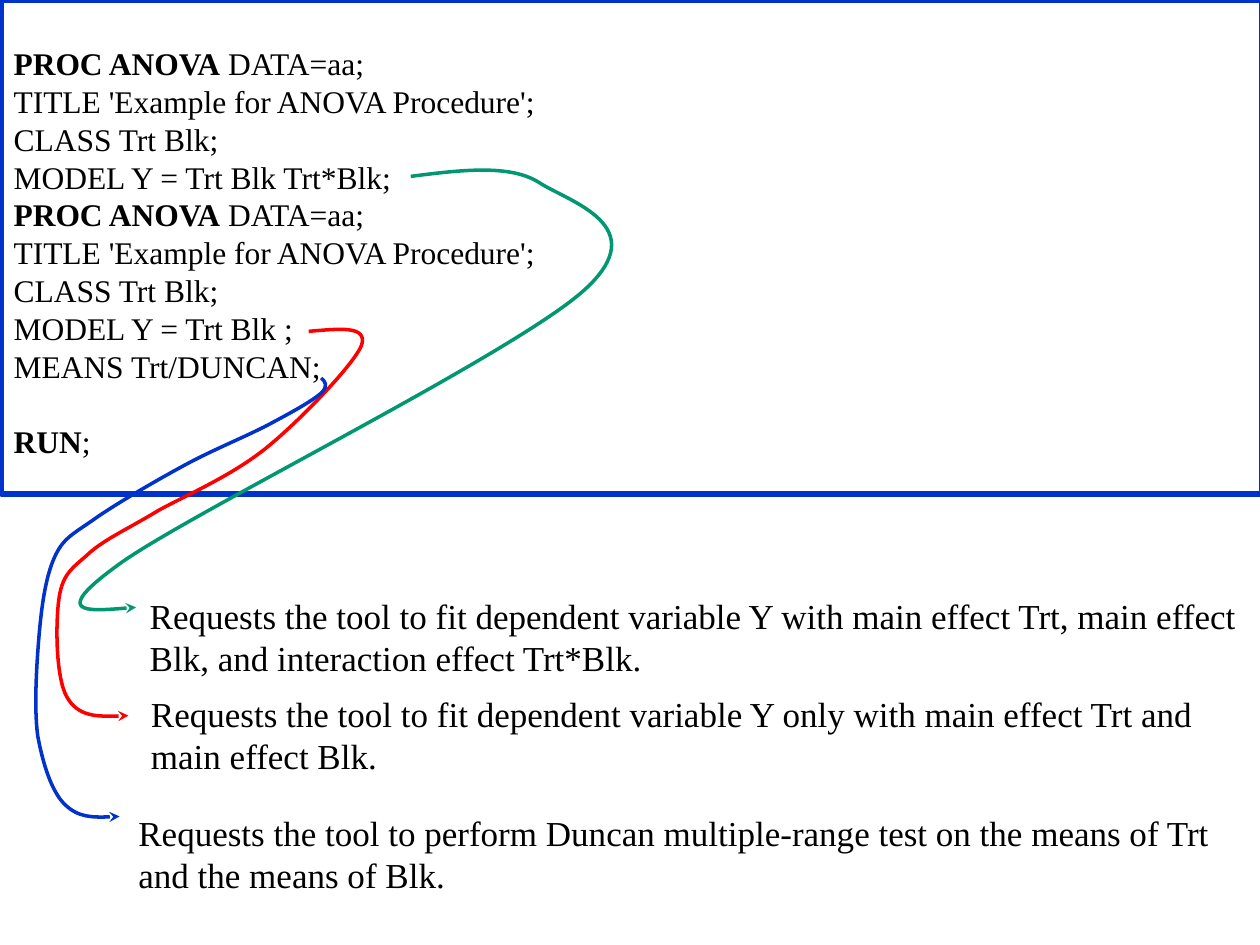
"""Build a slide that explains the statements of an ANOVA program."""
from lxml import etree
from pptx import Presentation
from pptx import util as u
from pptx.dml.color import RGBColor
from pptx.enum import shapes, text
from pptx.oxml.ns import qn

BLUE, GREEN, RED, BLACK, WHITE = "0033CC", "009771", "FF0000", "000000", "FFFFFF"


def color(value):
    return RGBColor.from_string(value)


def bezier(p0, p1, p2, p3, t):
    v = 1 - t
    return tuple(v**3 * a + 3 * v * v * t * b + 3 * v * t * t * c + t**3 * d
                 for a, b, c, d in zip(p0, p1, p2, p3))


class SlideBuilder:
    font = "Times New Roman"

    def __init__(self, slide):
        self.s = slide

    def fill_text(self, tf, lines, size, top=0.05):
        tf.word_wrap = True
        tf.vertical_anchor = text.MSO_ANCHOR.TOP
        tf.margin_left = tf.margin_right = u.Inches(0.1)
        tf.margin_top, tf.margin_bottom = u.Inches(top), u.Inches(0.05)
        for i, runs in enumerate(lines):
            p = tf.paragraphs[0] if i == 0 else tf.add_paragraph()
            p.alignment = text.PP_ALIGN.LEFT
            p.line_spacing = u.Pt(size * 1.2)
            for words, bold in runs:
                r = p.add_run()
                r.text = words
                r.font.name, r.font.size, r.font.bold = self.font, u.Pt(size), bold
                r.font.color.rgb = color(BLACK)

    def code_box(self, x, y, w, h, lines, size=18):
        sp = self.s.shapes.add_shape(shapes.MSO_SHAPE.RECTANGLE, *map(u.Inches, (x, y, w, h)))
        sp.shadow.inherit = False
        sp.fill.solid()
        sp.fill.fore_color.rgb = color(WHITE)
        sp.line.color.rgb = color(BLUE)
        sp.line.width = u.Pt(3)
        self.fill_text(sp.text_frame, lines, size, top=0.35)
        sp.text_frame.paragraphs[-1].space_before = u.Pt(size * 1.2)

    def note(self, x, y, words):
        sp = self.s.shapes.add_textbox(*map(u.Inches, (x, y, 8.93, 0.77)))
        self.fill_text(sp.text_frame, [[(words, False)]], 20)

    def curved_arrow(self, points, line):
        pts = [(u.Inches(x), u.Inches(y)) for x, y in points]
        outline = [bezier(*pts[i:i + 4], n / 20)
                   for i in range(0, len(pts) - 1, 3) for n in range(1, 21)]
        fb = self.s.shapes.build_freeform(*pts[0])
        fb.add_line_segments(outline, close=False)
        sp = fb.convert_to_shape()
        sp.shadow.inherit = False
        sp.fill.background()
        sp.line.color.rgb = color(line)
        sp.line.width = u.Pt(2)
        route = next(sp._element.iter(qn("a:path")))
        for segment in route.findall(qn("a:lnTo")):
            route.remove(segment)
        for i in range(1, len(pts), 3):
            curve = etree.SubElement(route, qn("a:cubicBezTo"))
            for x, y in pts[i:i + 3]:
                etree.SubElement(curve, qn("a:pt"), x=str(x - sp.left), y=str(y - sp.top))
        etree.SubElement(sp.line._get_or_add_ln(), qn("a:tailEnd"), type="stealth")


def main():
    prs = Presentation()
    prs.slide_width, prs.slide_height = u.Inches(10), u.Inches(7.5)
    b = SlideBuilder(prs.slides.add_slide(prs.slide_layouts[6]))

    header = [
        [("PROC ANOVA", True), (" DATA=aa;", False)],
        [("TITLE 'Example for ANOVA Procedure';", False)],
        [("CLASS Trt Blk;", False)],
    ]
    b.code_box(0.01, 0, 10, 3.92, [
        *header, [("MODEL Y = Trt Blk Trt*Blk;", False)],
        *header, [("MODEL Y = Trt Blk ;", False)],
        [("MEANS Trt/DUNCAN;", False)],
        [("RUN", True), (";", False)],
    ])

    explanations = [
        (GREEN, 1.09, 4.67,
         "Requests the tool to fit dependent variable Y with main effect Trt, "
         "main effect Blk, and interaction effect Trt*Blk.",
         [(3.26, 1.4), (3.65, 1.35), (4.05, 1.3), (4.28, 1.45),
          (4.51, 1.6), (5.2, 1.79), (4.64, 2.3),
          (4.09, 2.8), (1.57, 4.04), (0.97, 4.46),
          (0.38, 4.88), (0.73, 4.85), (1.08, 4.82)]),
        (RED, 1.1, 5.45,
         "Requests the tool to fit dependent variable Y only with main effect "
         "Trt and main effect Blk.",
         [(2.45, 2.63), (2.69, 2.61), (2.92, 2.58), (2.87, 2.74),
          (2.81, 2.89), (2.39, 3.33), (2.12, 3.55),
          (1.85, 3.77), (1.5, 3.92), (1.26, 4.05),
          (1.03, 4.19), (0.85, 4.27), (0.72, 4.38),
          (0.59, 4.5), (0.5, 4.54), (0.47, 4.74),
          (0.44, 4.93), (0.44, 5.37), (0.53, 5.53),
          (0.62, 5.69), (0.82, 5.69), (1.02, 5.68)]),
        (BLUE, 1, 6.39,
         "Requests the tool to perform Duncan multiple-range test on the means "
         "of Trt and the means of Blk.",
         [(2.55, 3), (2.58, 3.03), (2.61, 3.06), (2.55, 3.12),
          (2.48, 3.18), (2.34, 3.26), (2.17, 3.35),
          (1.99, 3.45), (1.71, 3.56), (1.47, 3.69),
          (1.23, 3.82), (0.92, 4), (0.75, 4.12),
          (0.58, 4.24), (0.5, 4.27), (0.43, 4.43),
          (0.36, 4.59), (0.33, 4.82), (0.31, 5.05),
          (0.29, 5.29), (0.27, 5.62), (0.3, 5.84),
          (0.34, 6.06), (0.41, 6.28), (0.51, 6.38),
          (0.62, 6.49), (0.78, 6.49), (0.95, 6.48)]),
    ]
    for line, x, y, words, points in explanations:
        b.curved_arrow(points, line)
        b.note(x, y, words)

    prs.save("out.pptx")


if __name__ == "__main__":
    main()
